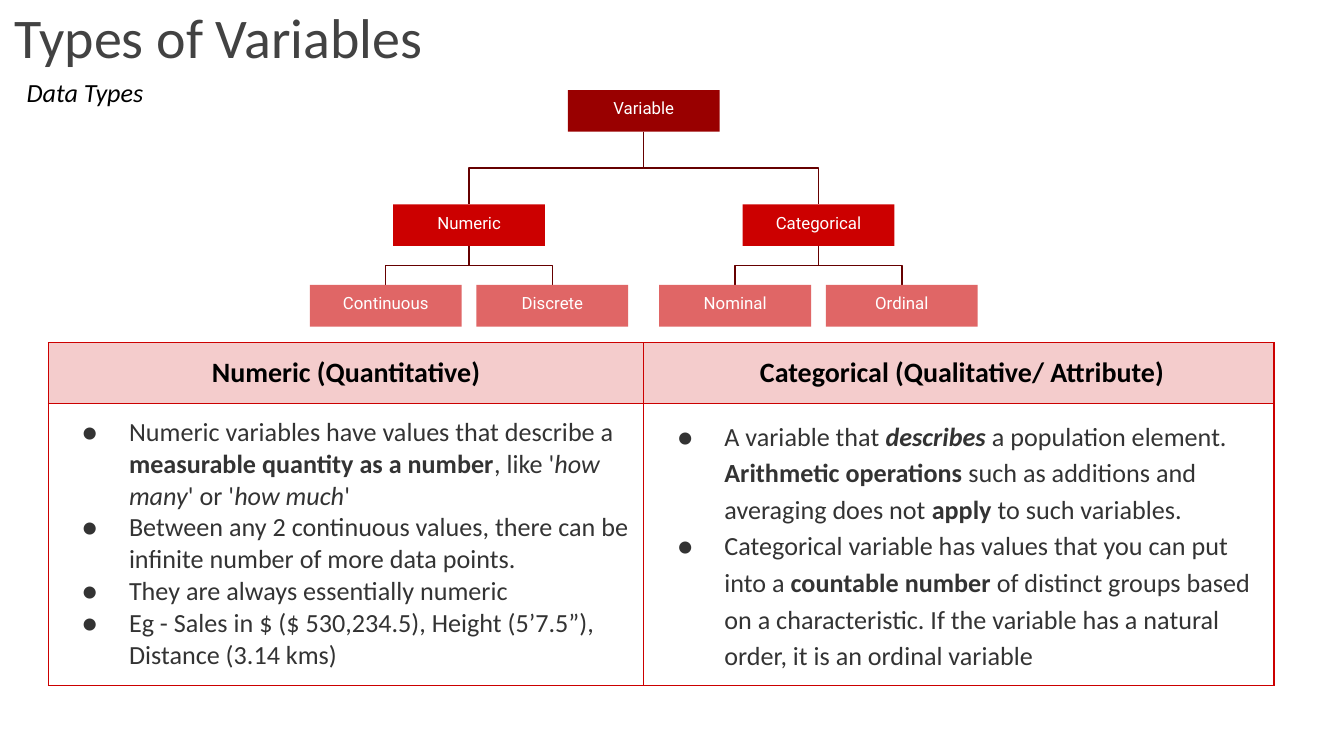
from lxml.etree import SubElement as Sub
from pptx import Presentation
from pptx.dml.color import RGBColor as RGB
from pptx.enum.shapes import MSO_CONNECTOR as CON, MSO_SHAPE as SHAPE
from pptx.enum.text import MSO_ANCHOR as ANC, PP_ALIGN as AL
from pptx.oxml.ns import qn
from pptx.util import Inches, Pt

HUES = {"title": "424242", "black": "000000", "body": "333333",
        "white": "FFFFFF", "head": "F4CCCC", "edge": "CC0000",
        "root": "990000", "kind": "CC0000", "leaf": "E06666",
        "link": "660000"}

TITLE = "Types of Variables"
TOPIC = "Data Types"
TREE = ("Variable", [("Numeric", [("Continuous", []), ("Discrete", [])]),
                     ("Categorical", [("Nominal", []), ("Ordinal", [])])])
LEVELS = [("root", 0.67, 1.3), ("kind", 1.52, 0.62), ("leaf", 2.12, 0)]
BOX_W, BOX_H, MID = 1.13, 0.31, 4.79

COLS = [
    ("Numeric (Quantitative)", 4.43, 1.0, [
        [("Numeric variables have values that describe a ", ""),
         ("measurable quantity as a number", "b"), (", like '", ""),
         ("how many", "i"), ("' or '", ""), ("how much", "i"), ("'", "")],
        [("Between any 2 continuous values, there can be infinite number "
          "of more data points.", "")],
        [("They are always essentially numeric", "")],
        [("Eg - Sales in $ ($ 530,234.5), Height (5’7.5”), "
          "Distance (3.14 kms)", "")]]),
    (" Categorical (Qualitative/ Attribute)", 4.69, 1.15, [
        [("A variable that ", ""), ("describes", "bi"),
         (" a population element. ", ""), ("Arithmetic operations", "b"),
         (" such as additions and averaging does not ", ""),
         ("apply", "b"), (" to such variables.", "")],
        [("Categorical variable has values that you can put into a ", ""),
         ("countable number", "b"),
         (" of distinct groups based on a characteristic. If the variable "
          "has a natural order, it is an ordinal variable", "")]]),
]
ROWS = [0.45, 2.1]


def put(item, **vals):
    for key, val in vals.items():
        setattr(item, key, val)


def hue(key):
    return RGB.from_string(HUES[key])


def style(font, size, color, name="Calibri", bold=False, italic=False):
    put(font, size=Pt(size), name=name, bold=bold, italic=italic)
    font.color.rgb = hue(color)


def pad(frame, anchor):
    gap = Inches(0.1)
    put(frame, margin_left=gap, margin_right=gap, margin_top=gap,
        margin_bottom=gap, word_wrap=True, vertical_anchor=anchor)


def node(tree, x, depth=0):
    name, kids = tree
    level, y, step = LEVELS[depth]
    for side, kid in zip((-1, 1), kids):
        link(x, y + BOX_H, x + side * step, LEVELS[depth + 1][1])
        node(kid, x + side * step, depth + 1)
    box = slide.shapes.add_shape(
        SHAPE.RECTANGLE, Inches(x - BOX_W / 2), Inches(y),
        Inches(BOX_W), Inches(BOX_H))
    box.shadow.inherit = False
    box.fill.solid()
    box.fill.fore_color.rgb = hue(level)
    box.line.fill.background()
    pad(box.text_frame, ANC.BOTTOM)
    para = box.text_frame.paragraphs[0]
    put(para, text=name, alignment=AL.CENTER)
    style(para.runs[0].font, 9, "white", "Roboto")


def link(x1, y1, x2, y2):
    mx, my = (x1 + x2) / 2, (y1 + y2) / 2
    right = x2 > x1
    half = (y2 - y1) / 2 * (-1 if right else 1)
    rise = abs(x2 - x1) / 2
    line = slide.shapes.add_connector(
        CON.ELBOW, Inches(mx - half), Inches(my - rise),
        Inches(mx + half), Inches(my + rise))
    line.line.width = Pt(0.75)
    line.line.color.rgb = hue("link")
    props = line.element.spPr
    props.xfrm.set("rot", str((270 if right else 90) * 60000))
    Sub(props, qn("a:effectLst"))


def bullet(para):
    props = para._p.get_or_add_pPr()
    props.set("marL", str(Inches(0.5)))
    props.set("indent", str(Inches(-0.35)))
    tint = Sub(props, qn("a:buClr"))
    Sub(tint, qn("a:srgbClr"), val=HUES["body"])
    Sub(props, qn("a:buSzPts"), val="1400")
    Sub(props, qn("a:buFont"), typeface="Calibri")
    Sub(props, qn("a:buChar"), char="●")


def edge(cell):
    props = cell._tc.get_or_add_tcPr()
    for i, side in enumerate(("lnL", "lnR", "lnT", "lnB")):
        line = props.makeelement(qn("a:" + side), {"w": str(Pt(0.75))})
        props.insert(i, line)
        fill = Sub(line, qn("a:solidFill"))
        Sub(fill, qn("a:srgbClr"), val=HUES["edge"])


deck = Presentation()
put(deck, slide_width=Inches(10), slide_height=Inches(10 * 9 / 16))
slide = deck.slides.add_slide(deck.slide_layouts[5])

title = slide.shapes.title
put(title, left=Inches(0.01), top=Inches(-0.01),
    width=Inches(9.32), height=Inches(0.63))
pad(title.text_frame, ANC.BOTTOM)
para = title.text_frame.paragraphs[0]
put(para, text=TITLE, alignment=AL.LEFT)
style(para.runs[0].font, 30, "title")

topic = slide.shapes.add_textbox(
    Inches(0.1), Inches(0.43), Inches(2.3), Inches(0.49))
pad(topic.text_frame, ANC.TOP)
para = topic.text_frame.paragraphs[0]
put(para, text=TOPIC, line_spacing=1.15)
style(para.runs[0].font, 14, "black", italic=True)

table = slide.shapes.add_table(
    len(ROWS), len(COLS), Inches(0.36), Inches(2.55),
    Inches(sum(col[1] for col in COLS)), Inches(sum(ROWS))).table
put(table, first_row=False, horz_banding=False)
for row, high in zip(table.rows, ROWS):
    row.height = Inches(high)

for c, (head, wide, space, points) in enumerate(COLS):
    table.columns[c].width = Inches(wide)
    top, body = table.cell(0, c), table.cell(1, c)
    top.fill.solid()
    top.fill.fore_color.rgb = hue("head")
    body.fill.background()
    for cell in (top, body):
        pad(cell, ANC.TOP)
        edge(cell)
    para = top.text_frame.paragraphs[0]
    put(para, text=head, alignment=AL.CENTER)
    style(para.runs[0].font, 15, "black", bold=True)
    for n, runs in enumerate(points):
        frame = body.text_frame
        para = frame.add_paragraph() if n else frame.paragraphs[0]
        bullet(para)
        para.line_spacing = space
        for text, mark in runs:
            run = para.add_run()
            run.text = text
            style(run.font, 14, "body", bold="b" in mark, italic="i" in mark)

node(TREE, MID)
deck.save("out.pptx")
